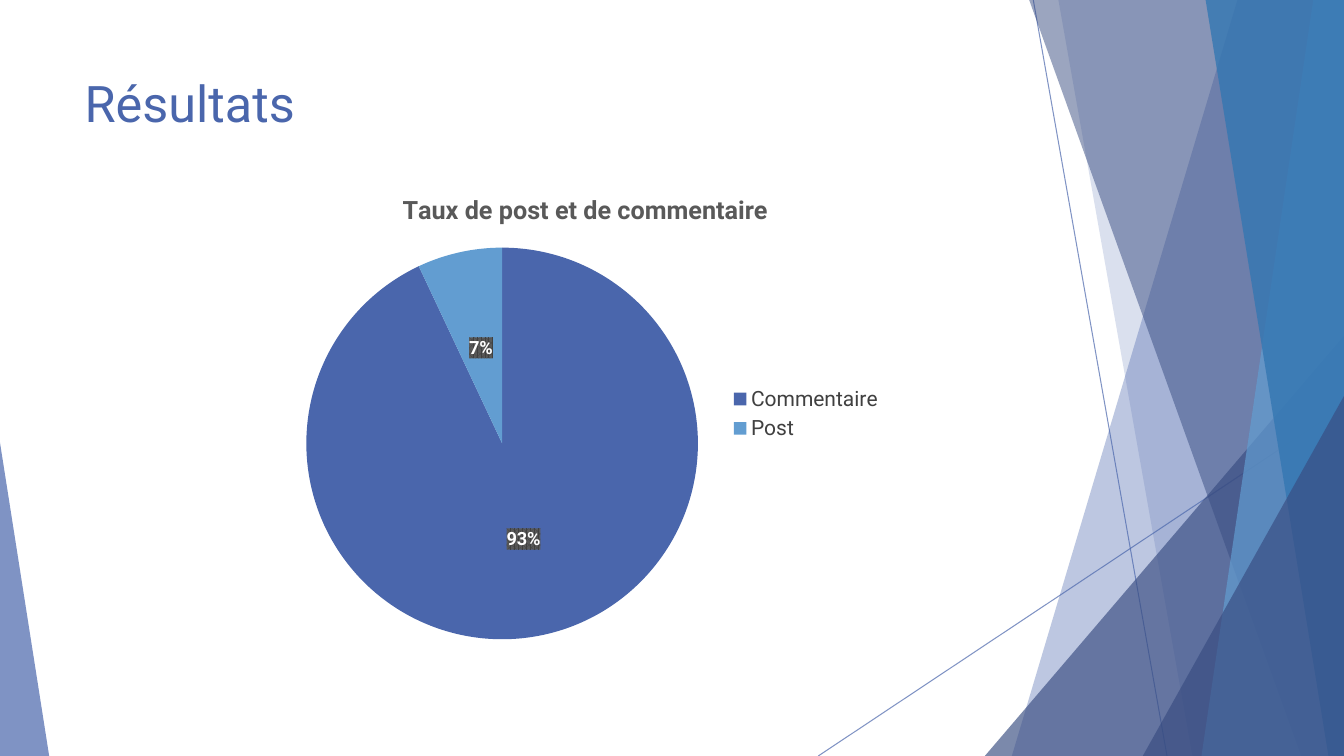
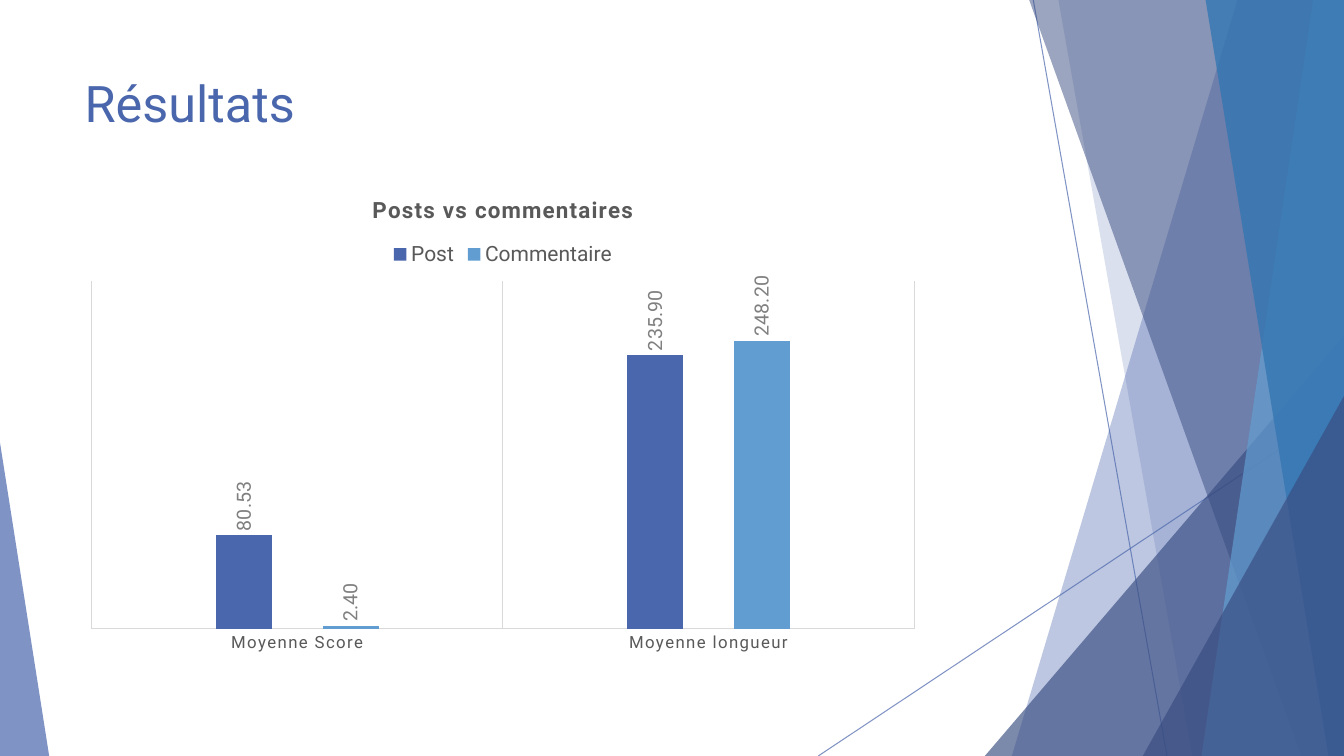
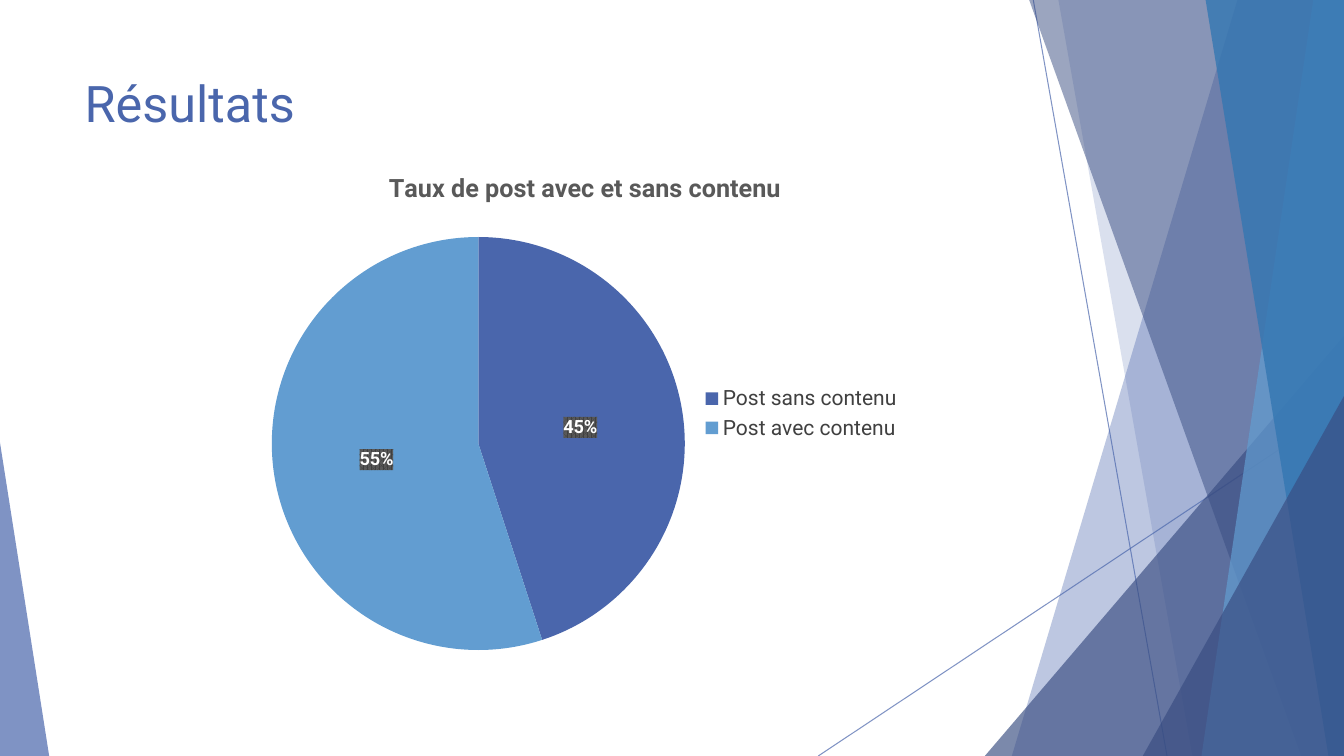
from lxml.etree import SubElement
from pptx import Presentation
from pptx.chart.data import CategoryChartData
from pptx.dml.color import RGBColor
from pptx.enum.chart import XL_CHART_TYPE, XL_LABEL_POSITION, XL_LEGEND_POSITION, XL_TICK_MARK
from pptx.enum.dml import MSO_PATTERN
from pptx.enum.shapes import MSO_CONNECTOR, MSO_SHAPE
from pptx.enum.text import MSO_ANCHOR, MSO_AUTO_SIZE, PP_ALIGN
from pptx.oxml import parse_xml
from pptx.oxml.ns import nsdecls, qn
from pptx.util import Cm, Pt

# Shared look
FONT = "Roboto"
INDIGO, NAVY, SKY, BLUE = "4A66AC", "384C81", "629DD1", "3477B2"
DARK, GREY, MID_GREY, PALE_GREY, WHITE = "404040", "595959", "808080", "D9D9D9", "FFFFFF"
WIDTH, HEIGHT, TOP = 33.87, 19.05, -0.02
SERIES_COLOURS = [INDIGO, SKY]
HEADING = "Résultats"
HEADING_BOX = (1.88, 1.7, 23.88, 3.66)

# Decor, in cm: rays (start, end), then facets from back to front
RAYS = [((26.04, 0), (29.41, HEIGHT)), ((WIDTH, 10.24), (20.62, HEIGHT))]
RAY_OPACITY = 70
FACETS = [  # band: left edge at top and bottom; wedge: box and apex
    ("band", (31.19, 25.5), INDIGO, 36),
    ("band", (26.67, 30.05), INDIGO, 20),
    ("wedge", (24.82, 8.46, 9.05, 10.59, 1), NAVY, 66),
    ("band", (25.93, 32.79), NAVY, 50),
    ("band", (33.1, 30.28), SKY, 70),
    ("band", (30.38, 33.48), BLUE, 80),
    ("wedge", (28.8, 9.98, 5.07, 9.07, 1), NAVY, 66),
    ("wedge", (0, 11.15, 1.24, 7.9, 0), INDIGO, 70),
]

# Content of the slides
RESULTS = [
    {"kind": "pie", "title": "Taux de post et de commentaire",
     "box": (6.99, 4.39, 15.52, 12.07),
     "categories": ["Commentaire", "Post"],
     "series": {"Series 1": [93, 7]}},
    {"kind": "column", "title": "Posts vs commentaires",
     "box": (1.88, 4.45, 21.59, 12.24),
     "categories": ["Moyenne Score", "Moyenne longueur"],
     "series": {"Post": [80.53, 235.9], "Commentaire": [2.4, 248.2]}},
    {"kind": "pie", "title": "Taux de post avec et sans contenu",
     "box": (6.5, 3.81, 16.48, 13.21),
     "categories": ["Post sans contenu", "Post avec contenu"],
     "series": {"Series 1": [45, 55]}},
]


def colour(hex_value):
    return RGBColor.from_string(hex_value)


def set_all(target, **values):
    for name, value in values.items():
        setattr(target, name, value)


def style_font(font, size, hex_value, bold=False):
    set_all(font, name=FONT, size=Pt(size), bold=bold)
    font.color.rgb = colour(hex_value)


def style_line(line, hex_value):
    line.width = Pt(0.75)
    line.color.rgb = colour(hex_value)


def set_opacity(part, percent):
    tint = part.element.find(".//" + qn("a:srgbClr"))
    SubElement(tint, qn("a:alpha"), val=str(percent * 1000))


def space_letters(text_parent):
    """Spread letters by one point."""
    for tag in ("a:defRPr", "a:rPr"):
        for properties in text_parent.iter(qn(tag)):
            properties.set("spc", "100")


def draw_facet(shapes, form, geometry, hex_value, opacity):
    if form == "band":
        top_x, bottom_x = geometry
        corners = [(WIDTH, TOP), (WIDTH, HEIGHT), (bottom_x, HEIGHT)]
        outline = shapes.build_freeform(Cm(top_x), Cm(TOP))
        outline.add_line_segments([(Cm(x), Cm(y)) for x, y in corners], close=True)
        facet = outline.convert_to_shape()
    else:
        *box, apex = geometry
        facet = shapes.add_shape(MSO_SHAPE.ISOSCELES_TRIANGLE, *map(Cm, box))
        facet.adjustments[0] = apex
    facet.shadow.inherit = False
    facet.fill.solid()
    facet.fill.fore_color.rgb = colour(hex_value)
    facet.line.fill.background()
    set_opacity(facet, opacity)
    return facet


def draw_ray(shapes, start, end):
    ray = shapes.add_connector(MSO_CONNECTOR.STRAIGHT, *map(Cm, start + end))
    style_line(ray.line, INDIGO)
    set_opacity(ray, RAY_OPACITY)
    SubElement(ray.element.spPr, qn("a:effectLst"))
    return ray


def place(part, box):
    set_all(part, **dict(zip(("left", "top", "width", "height"), map(Cm, box))))


def decorate(layout, shapes):
    """Draw the decor with the shapes of a slide, then move it behind the layout."""
    decor = [draw_ray(shapes, *ray) for ray in RAYS]
    decor += [draw_facet(shapes, *facet) for facet in FACETS]
    for order, part in enumerate(decor):
        next(part.element.iter(qn("p:cNvPr"))).set("id", str(100 + order))
        layout.shapes.element.insert(2 + order, part.element)


def write_heading(slide):
    frame = slide.shapes.title.text_frame
    frame.text = HEADING
    set_all(frame, vertical_anchor=MSO_ANCHOR.TOP, auto_size=MSO_AUTO_SIZE.NONE)
    frame.paragraphs[0].alignment = PP_ALIGN.LEFT
    style_font(frame.paragraphs[0].runs[0].font, 36, INDIGO)


def format_pie(chart):
    plot = chart.plots[0]
    plot.vary_by_categories = True
    for index, hex_value in enumerate(SERIES_COLOURS):
        fill = plot.series[0].points[index].format.fill
        fill.solid()
        fill.fore_color.rgb = colour(hex_value)
    labels = plot.series[0].data_labels
    set_all(labels, show_percentage=True, show_value=False, number_format="0%",
            number_format_is_linked=False, position=XL_LABEL_POSITION.CENTER)
    style_font(labels.font, 13, WHITE, bold=True)
    # Patterned dark plate behind each percentage
    plate = parse_xml(
        f'<c:spPr {nsdecls("c", "a")}><a:pattFill prst="{MSO_PATTERN.to_xml(MSO_PATTERN.PERCENT_75)}">'
        f'<a:fgClr><a:srgbClr val="{DARK}"/></a:fgClr>'
        f'<a:bgClr><a:srgbClr val="{GREY}"/></a:bgClr></a:pattFill></c:spPr>')
    plot.series[0].format.line.fill.background()
    series_labels = next(chart.element.iter(qn("c:dLbls")))
    series_labels.find(qn("c:txPr")).addprevious(plate)


def format_columns(chart):
    plot = chart.plots[0]
    set_all(plot, gap_width=444, overlap=-90, vary_by_categories=False)
    for series, hex_value in zip(plot.series, SERIES_COLOURS):
        series.format.fill.solid()
        series.format.fill.fore_color.rgb = colour(hex_value)
        labels = series.data_labels
        set_all(labels, show_value=True, number_format="#,##0.00",
                number_format_is_linked=False, position=XL_LABEL_POSITION.OUTSIDE_END)
        style_font(labels.font, 14, MID_GREY)
    for labels in chart.element.iter(qn("c:dLbls")):
        body = labels.find(qn("c:txPr")).find(qn("a:bodyPr"))
        body.set("rot", "-5400000")
        body.set("vert", "horz")
    set_all(chart.value_axis, visible=False, has_major_gridlines=False,
            minimum_scale=0, maximum_scale=300)
    axis = chart.category_axis
    set_all(axis, major_tick_mark=XL_TICK_MARK.NONE, minor_tick_mark=XL_TICK_MARK.NONE,
            has_major_gridlines=True)
    style_line(axis.format.line, PALE_GREY)
    style_line(axis.major_gridlines.format.line, PALE_GREY)
    style_font(axis.tick_labels.font, 12, GREY)
    space_letters(next(chart.element.iter(qn("c:catAx"))))
    space_letters(next(chart.element.iter(qn("c:title"))))


# Chart kinds: type, title size, legend place and colour, formatter
KINDS = {
    "pie": (XL_CHART_TYPE.PIE, 18, XL_LEGEND_POSITION.RIGHT, DARK, format_pie),
    "column": (XL_CHART_TYPE.COLUMN_CLUSTERED, 16, XL_LEGEND_POSITION.TOP, GREY, format_columns),
}


def add_result(slide, result):
    chart_type, title_size, legend_place, legend_colour, format_kind = KINDS[result["kind"]]
    figures = CategoryChartData()
    figures.categories = result["categories"]
    for name, values in result["series"].items():
        figures.add_series(name, values)
    chart = slide.shapes.add_chart(chart_type, *map(Cm, result["box"]), figures).chart
    set_all(chart.font, name=FONT, size=Pt(10))
    set_all(chart, has_title=True, has_legend=True)
    title = chart.chart_title.text_frame
    title.text = result["title"]
    style_font(title.paragraphs[0].runs[0].font, title_size, GREY, bold=True)
    set_all(chart.legend, position=legend_place, include_in_layout=False)
    style_font(chart.legend.font, 15, legend_colour)
    format_kind(chart)


def main():
    deck = Presentation()
    set_all(deck, slide_width=Cm(WIDTH), slide_height=Cm(HEIGHT))
    layout = deck.slide_layouts[5]
    place(layout.placeholders[0], HEADING_BOX)
    for number, result in enumerate(RESULTS):
        slide = deck.slides.add_slide(layout)
        if number == 0:
            decorate(layout, slide.shapes)
        write_heading(slide)
        add_result(slide, result)
    deck.save("out.pptx")


if __name__ == "__main__":
    main()
